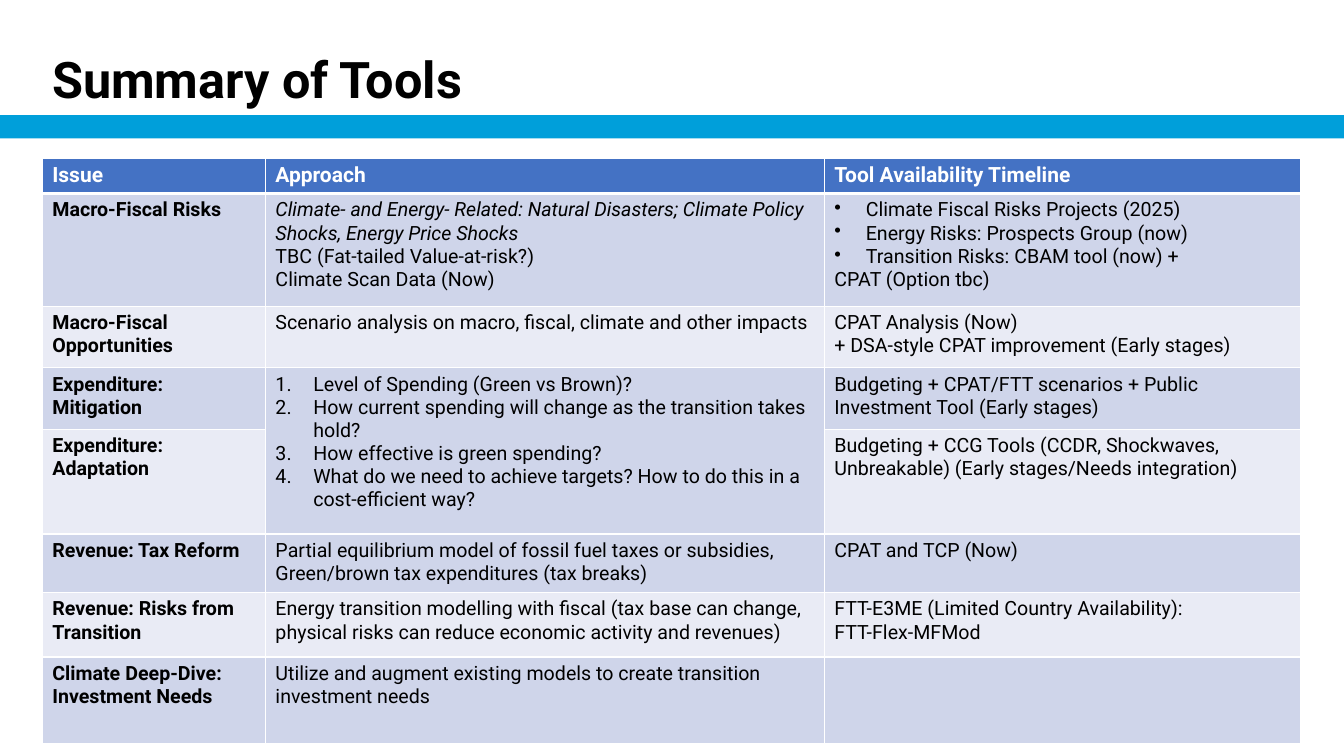
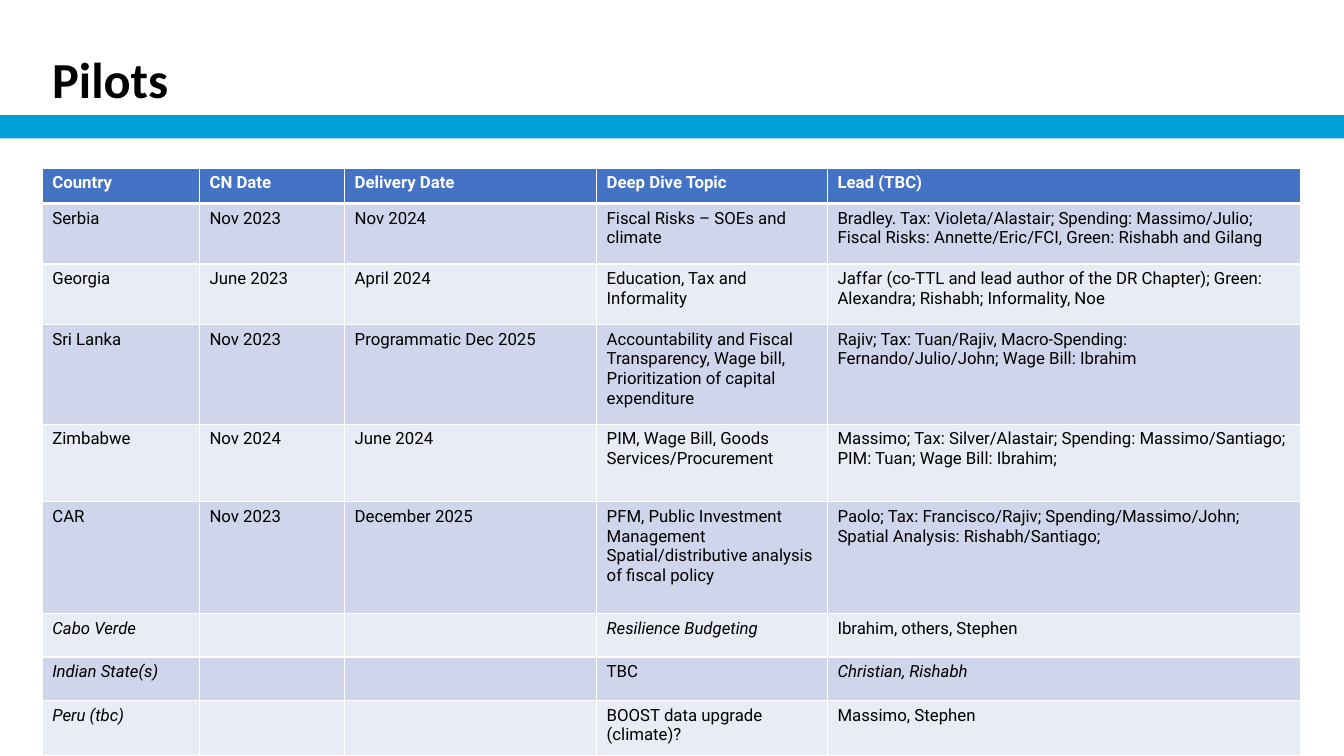
import collections

import pptx
import pptx.dml.color
import pptx.enum.shapes
import pptx.enum.text
import pptx.oxml
import pptx.oxml.ns
import pptx.util

Pt = pptx.util.Pt
COLORS = {
    "band": "009FDA",
    "header": "4472C4",
    "odd": "CFD5EA",
    "even": "E9EBF5",
    "text": "000000",
    "white": "FFFFFF",
}
FONT = "Roboto"
LEFT, WIDTH = 30.2, 898.6
BULLET, NUMBER = "bullet", "number"
LISTS = {
    BULLET: (22.5, '<a:buChar %s char="•"/>'),
    NUMBER: (27, '<a:buAutoNum %s type="arabicPeriod"/>'),
}
Line = collections.namedtuple("Line", "text italic mark", defaults=(False, None))

TOOLS = [
    ["Issue", "Approach", "Tool Availability Timeline"],
    ["Macro-Fiscal Risks",
     [Line("Climate- and Energy- Related: Natural Disasters; Climate Policy Shocks, "
           "Energy Price Shocks", italic=True),
      "TBC (Fat-tailed Value-at-risk?)",
      "Climate Scan Data (Now)"],
     [Line("Climate Fiscal Risks Projects (2025)", mark=BULLET),
      Line("Energy Risks: Prospects Group (now)", mark=BULLET),
      Line("Transition Risks: CBAM tool (now) +", mark=BULLET),
      "CPAT (Option tbc)"]],
    ["Macro-Fiscal Opportunities",
     "Scenario analysis on macro, fiscal, climate and other impacts",
     ["CPAT Analysis (Now)", "+ DSA-style CPAT improvement (Early stages)"]],
    ["Expenditure: Mitigation",
     [Line("Level of Spending (Green vs Brown)?", mark=NUMBER),
      Line("How current spending will change as the transition takes hold?", mark=NUMBER),
      Line("How effective is green spending?", mark=NUMBER),
      Line("What do we need to achieve targets? How to do this in a cost-efficient way?",
           mark=NUMBER)],
     "Budgeting + CPAT/FTT scenarios + Public Investment Tool (Early stages)"],
    ["Expenditure: Adaptation", None,
     "Budgeting + CCG Tools (CCDR, Shockwaves, Unbreakable) "
     "(Early stages/Needs integration)"],
    ["Revenue: Tax Reform",
     "Partial equilibrium model of fossil fuel taxes or subsidies, "
     "Green/brown tax expenditures (tax breaks)",
     "CPAT and TCP (Now)"],
    ["Revenue: Risks from Transition",
     "Energy transition modelling with fiscal (tax base can change, "
     "physical risks can reduce economic activity and revenues)",
     ["FTT-E3ME (Limited Country Availability):", "FTT-Flex-MFMod"]],
    [["Climate Deep-Dive:", "Investment Needs"],
     "Utilize and augment existing models to create transition investment needs",
     None],
]

PILOTS = [
    ["Country", "CN Date", "Delivery Date", "Deep Dive Topic", "Lead (TBC)"],
    ["Serbia", "Nov 2023", "Nov 2024", "Fiscal Risks – SOEs and climate",
     "Bradley. Tax: Violeta/Alastair; Spending: Massimo/Julio; "
     "Fiscal Risks: Annette/Eric/FCI, Green: Rishabh and Gilang"],
    ["Georgia", "June 2023", "April 2024", "Education, Tax and Informality",
     "Jaffar (co-TTL and lead author of the DR Chapter); "
     "Green: Alexandra; Rishabh; Informality, Noe"],
    ["Sri Lanka", "Nov 2023", "Programmatic Dec 2025",
     "Accountability and Fiscal Transparency, Wage bill, "
     "Prioritization of capital expenditure",
     "Rajiv; Tax: Tuan/Rajiv, Macro-Spending: Fernando/Julio/John; Wage Bill: Ibrahim"],
    ["Zimbabwe", "Nov 2024", "June 2024", "PIM, Wage Bill, Goods Services/Procurement",
     "Massimo; Tax: Silver/Alastair; Spending: Massimo/Santiago; "
     "PIM: Tuan; Wage Bill: Ibrahim;"],
    ["CAR", "Nov 2023", "December 2025",
     "PFM, Public Investment Management Spatial/distributive analysis of fiscal policy",
     "Paolo; Tax: Francisco/Rajiv; Spending/Massimo/John; "
     "Spatial Analysis: Rishabh/Santiago;"],
    [Line("Cabo Verde", italic=True), None, None,
     Line("Resilience Budgeting", italic=True), "Ibrahim, others, Stephen"],
    [Line("Indian State(s)", italic=True), None, None, "TBC",
     Line("Christian, Rishabh", italic=True)],
    [Line("Peru (tbc)", italic=True), None, None,
     "BOOST data upgrade (climate)?", "Massimo, Stephen"],
]


def rgb(name):
    return pptx.dml.color.RGBColor.from_string(COLORS[name])


def add_run(p, text, size, color="text", bold=False, italic=False, font=FONT):
    r = p.add_run()
    r.text = text
    r.font.name = font
    r.font.size = Pt(size)
    r.font.bold = bold
    r.font.italic = italic
    r.font.color.rgb = rgb(color)


def set_list_mark(p, mark):
    indent, xml = LISTS[mark]
    pPr = p._p.get_or_add_pPr()
    pPr.set("marL", str(Pt(indent)))
    pPr.set("indent", str(-Pt(indent)))
    pPr.append(pptx.oxml.parse_xml(xml % pptx.oxml.ns.nsdecls("a")))


def set_borders(cell, bottom):
    tcPr = cell._tc.get_or_add_tcPr()
    widths = {"lnL": 1, "lnR": 1, "lnT": 1, "lnB": bottom}
    for i, (side, width) in enumerate(widths.items()):
        tcPr.insert(i, pptx.oxml.parse_xml(
            f'<a:{side} {pptx.oxml.ns.nsdecls("a")} w="{Pt(width)}"><a:solidFill>'
            f'<a:srgbClr val="{COLORS["white"]}"/></a:solidFill></a:{side}>'))


def fill_cell(cell, content, size, color, bold):
    lines = content if isinstance(content, list) else [content]
    for i, line in enumerate(lines):
        if isinstance(line, str):
            line = Line(line)
        p = cell.text_frame.paragraphs[0] if i == 0 else cell.text_frame.add_paragraph()
        if line.mark:
            set_list_mark(p, line.mark)
        add_run(p, line.text, size, color, bold, line.italic)


def add_table(slide, top, widths, heights, rows, header_size, size, bold_first=False):
    table = slide.shapes.add_table(len(rows), len(widths), Pt(LEFT), Pt(top),
                                   Pt(WIDTH), Pt(sum(heights))).table
    for column, width in zip(table.columns, widths):
        column.width = Pt(width)
    for i, (row, height) in enumerate(zip(rows, heights)):
        table.rows[i].height = Pt(height)
        header = i == 0
        fill = "header" if header else ("odd" if i % 2 else "even")
        for j, content in enumerate(row):
            cell = table.cell(i, j)
            cell.fill.solid()
            cell.fill.fore_color.rgb = rgb(fill)
            set_borders(cell, 3 if header else 1)
            if content:
                fill_cell(cell, content, header_size if header else size,
                          "white" if header else "text",
                          header or (bold_first and j == 0))
    return table


def add_band(slide):
    sp = slide.shapes.add_shape(pptx.enum.shapes.MSO_SHAPE.RECTANGLE,
                                Pt(0), Pt(82.2), Pt(961), Pt(16.6))
    sp.shadow.inherit = False
    sp.fill.solid()
    sp.fill.fore_color.rgb = rgb("band")
    sp.line.fill.background()


def add_title(slide, text, font):
    tf = slide.shapes.add_textbox(Pt(LEFT), Pt(37.8), Pt(WIDTH), Pt(45)).text_frame
    tf.word_wrap = True
    tf.vertical_anchor = pptx.enum.text.MSO_ANCHOR.MIDDLE
    p = tf.paragraphs[0]
    p.line_spacing = 0.8
    add_run(p, text, 36, bold=True, font=font)


def add_slide(prs, title, font=FONT):
    slide = prs.slides.add_slide(prs.slide_layouts[6])
    add_band(slide)
    add_title(slide, title, font)
    return slide


def main():
    prs = pptx.Presentation()
    prs.slide_width, prs.slide_height = Pt(960), Pt(540)

    s = add_slide(prs, "Summary of Tools")
    table = add_table(s, 113, [159.4, 399.2, 340],
                      [25.2, 80.6, 43.9, 43.9, 74.9, 41.8, 46.1, 61.9],
                      TOOLS, 15, 14, bold_first=True)
    table.cell(3, 1).merge(table.cell(4, 1))

    s = add_slide(prs, "Pilots", "Calibri")
    add_table(s, 120.2, [112.3, 103.7, 180, 164.9, 337.7],
              [25.2, 43.2, 43.2, 71.3, 55.4, 79.9, 31, 31, 39.6],
              PILOTS, 12, 12)

    prs.save("out.pptx")


if __name__ == "__main__":
    main()
